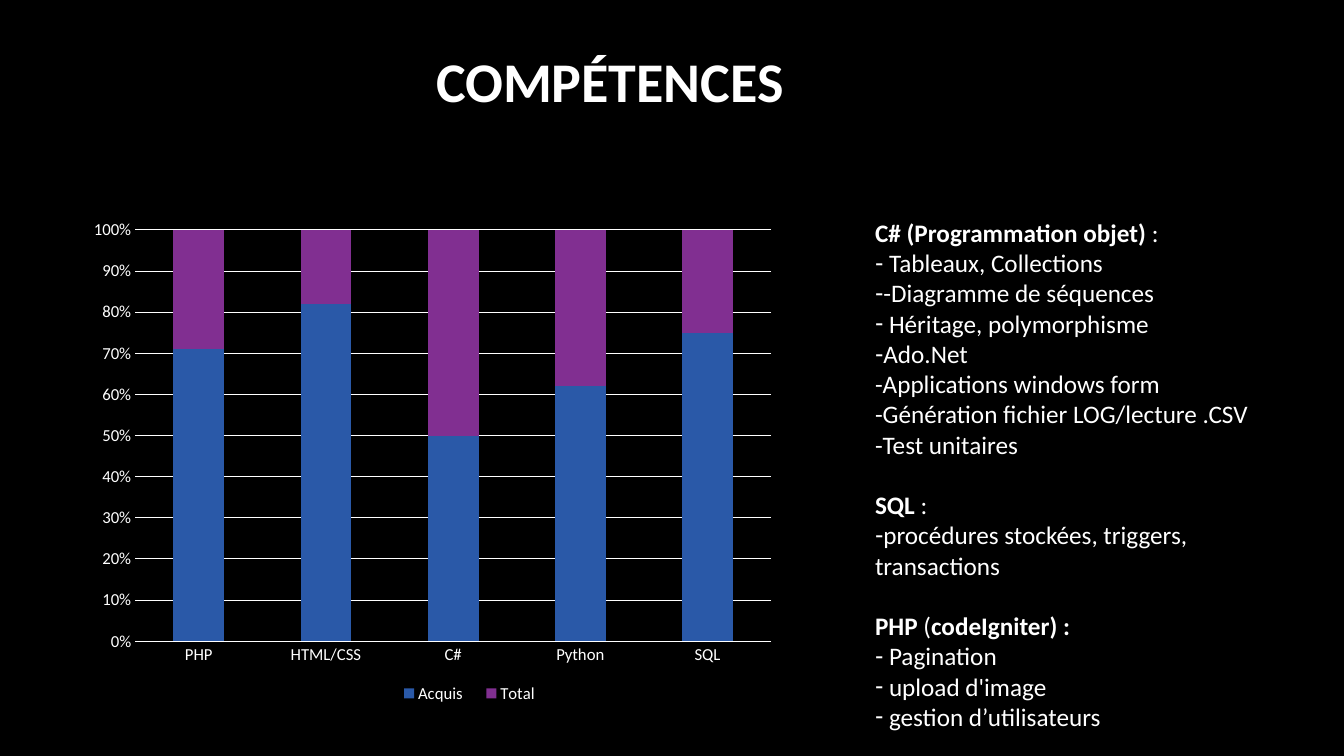
from lxml.etree import SubElement
from pptx import Presentation
from pptx.chart.data import CategoryChartData
from pptx.dml.color import RGBColor
from pptx.enum.chart import XL_CHART_TYPE, XL_LEGEND_POSITION, XL_TICK_MARK
from pptx.enum.text import MSO_ANCHOR, MSO_AUTO_SIZE, PP_ALIGN
from pptx.oxml import parse_xml
from pptx.oxml.ns import nsdecls, qn
from pptx.util import Pt

BLACK = RGBColor(0x00, 0x00, 0x00)
WHITE = RGBColor(0xFF, 0xFF, 0xFF)
BLUE = RGBColor(0x2A, 0x59, 0xA8)
PURPLE = RGBColor(0x81, 0x2F, 0x91)
GREEN = RGBColor(0x46, 0xB2, 0x98)
FONT = "Calibri"

# Boxes in points: left, top, width, height
TITLE_BOX = (36.7, -11.5, 797.8, 136.8)
CHART_BOX = (67, 152, 519, 361.4)
SKILLS_BOX = (617.8, 151.6, 329.8, 378)

LANGUAGES = ["PHP", "HTML/CSS", "C#", "Python", "SQL"]
LEVELS = [("Acquis", [71, 82, 50, 62, 75], BLUE),
          ("Total", [29, 18, 50, 38, 25], PURPLE),
          ("Series 3", [None] * len(LANGUAGES), GREEN)]
UNUSED_LEVEL = 2  # has no values and no legend entry
# Fractions of the chart: x, y, width, height
PLOT_PART = (0.053, 0.034, 0.879, 0.813)
LEGEND_PART = (0.4, 0.92, 0.23, 0.06)

SECTION_GAP = 21.6
SPACED, TIGHT, PLAIN = 10, 0, None  # dash indent in points; PLAIN has no bullet
# Each section: heading spans as (text, bold), then lines as (dash indent, text)
SECTIONS = [
    ([("C# (Programmation objet)", True), (" :", False)],
     [(SPACED, "Tableaux, Collections"),
      (TIGHT, "-Diagramme de séquences"),
      (SPACED, "Héritage, polymorphisme"),
      (TIGHT, "Ado.Net"),
      (PLAIN, "-Applications windows form"),
      (PLAIN, "-Génération fichier LOG/lecture .CSV"),
      (PLAIN, "-Test unitaires")]),
    ([("SQL", True), (" :", False)],
     [(TIGHT, "procédures stockées, triggers, transactions")]),
    ([("PHP", True), (" (", False), ("codeIgniter) :", True)],
     [(SPACED, "Pagination"),
      (SPACED, "upload d'image"),
      (SPACED, "gestion d’utilisateurs")]),
]


def format_font(font, size, bold=False):
    for name, value in {"name": FONT, "size": Pt(size), "bold": bold}.items():
        setattr(font, name, value)
    font.color.rgb = WHITE


def place(shape, box):
    for name, value in zip(("left", "top", "width", "height"), box):
        setattr(shape, name, Pt(value))


def add_title(page, box):
    title = page.shapes.title
    place(title, box)
    frame = title.text_frame
    frame.auto_size = MSO_AUTO_SIZE.NONE
    frame.vertical_anchor = MSO_ANCHOR.MIDDLE
    para = frame.paragraphs[0]
    para.alignment = PP_ALIGN.CENTER
    span = para.add_run()
    span.text = "COMPÉTENCES"
    format_font(span.font, 40, True)


def build_layout(part, **settings):
    """Return a chart layout element for a box given in fractions of the chart."""
    layout = parse_xml(f"<c:layout {nsdecls('c')}/>")
    manual = SubElement(layout, qn("c:manualLayout"))
    settings.update(xMode="edge", yMode="edge", **dict(zip("xywh", part)))
    for name, value in settings.items():
        SubElement(manual, qn("c:" + name)).set("val", str(value))
    return layout


def set_plot_layout(chart):
    plot_area = chart.element.find(".//" + qn("c:plotArea"))
    for old in plot_area.findall(qn("c:layout")):
        plot_area.remove(old)
    plot_area.insert(0, build_layout(PLOT_PART, layoutTarget="inner"))


def add_legend(chart):
    chart.has_legend = True
    legend = chart.legend
    legend.position = XL_LEGEND_POSITION.BOTTOM
    legend.include_in_layout = False
    format_font(legend.font, 12)
    element = chart.element.find(".//" + qn("c:legend"))
    for old in element.findall(qn("c:layout")):
        element.remove(old)
    hidden = parse_xml(
        f"<c:legendEntry {nsdecls('c')}>"
        f'<c:idx val="{UNUSED_LEVEL}"/><c:delete val="1"/></c:legendEntry>')
    position = element.find(qn("c:legendPos"))
    position.addnext(hidden)
    hidden.addnext(build_layout(LEGEND_PART))


def add_skill_chart(page, box):
    data = CategoryChartData()
    data.categories = LANGUAGES
    for name, values, _ in LEVELS:
        data.add_series(name, values)
    chart = page.shapes.add_chart(
        XL_CHART_TYPE.COLUMN_STACKED_100, *map(Pt, box), data).chart
    format_font(chart.font, 12)
    chart.has_title = False
    set_plot_layout(chart)

    plot = chart.plots[0]
    for name, value in {"gap_width": 150, "overlap": 100, "vary_by_categories": False}.items():
        setattr(plot, name, value)
    for series, (_, _, color) in zip(plot.series, LEVELS):
        series.format.fill.solid()
        series.format.fill.fore_color.rgb = color

    for axis in (chart.category_axis, chart.value_axis):
        axis.major_tick_mark = axis.minor_tick_mark = XL_TICK_MARK.NONE
        format_font(axis.tick_labels.font, 12)
    levels = chart.value_axis
    levels.maximum_scale, levels.minimum_scale, levels.major_unit = 1, 0, 0.1
    levels.tick_labels.number_format = "0%"
    levels.tick_labels.number_format_is_linked = False
    levels.format.line.fill.background()
    levels.has_major_gridlines = True
    for line in (chart.category_axis.format.line, levels.major_gridlines.format.line):
        line.color.rgb = WHITE
        line.width = Pt(0.75)
    add_legend(chart)


def add_line(frame, spans, dash=PLAIN, gap=0):
    """Append a paragraph, reusing the empty first one."""
    first = frame.paragraphs[0]
    para = frame.add_paragraph() if first.runs else first
    properties = para._p.get_or_add_pPr()
    indent = Pt(dash or 0)
    properties.set("marL", str(indent))
    properties.set("indent", str(-indent))
    if dash is PLAIN:
        SubElement(properties, qn("a:buNone"))
    else:
        SubElement(properties, qn("a:buFontTx"))
        SubElement(properties, qn("a:buChar")).set("char", "-")
    para.space_before = Pt(gap)
    for text, bold in spans:
        span = para.add_run()
        span.text = text
        format_font(span.font, 18, bold)


def add_skills(page, box):
    body = page.placeholders[1]
    place(body, box)
    frame = body.text_frame
    frame.word_wrap = True
    frame.auto_size = MSO_AUTO_SIZE.NONE
    frame.vertical_anchor = MSO_ANCHOR.TOP
    for number, (heading, lines) in enumerate(SECTIONS):
        add_line(frame, heading, gap=SECTION_GAP if number else 0)
        for dash, text in lines:
            add_line(frame, [(text, False)], dash)


def main():
    deck = Presentation()
    deck.slide_width, deck.slide_height = Pt(960), Pt(540)
    page = deck.slides.add_slide(deck.slide_layouts[1])
    page.background.fill.solid()
    page.background.fill.fore_color.rgb = BLACK
    add_title(page, TITLE_BOX)
    add_skill_chart(page, CHART_BOX)
    add_skills(page, SKILLS_BOX)
    deck.save("out.pptx")


if __name__ == "__main__":
    main()
